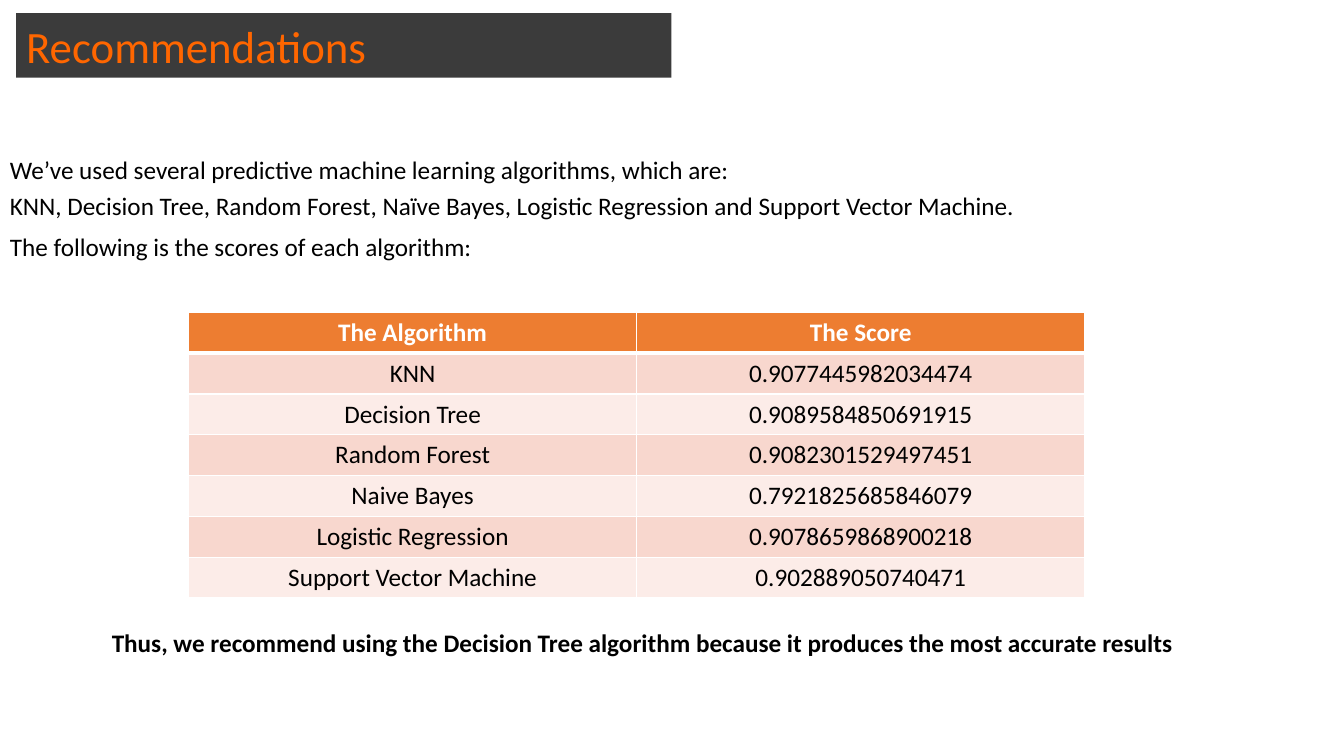
"""Build the recommendations slide with the scores of each algorithm."""
from dataclasses import dataclass

from lxml import etree
from pptx import Presentation
from pptx.dml.color import RGBColor
from pptx.enum.text import MSO_ANCHOR, MSO_AUTO_SIZE, PP_ALIGN
from pptx.oxml.ns import qn
from pptx.util import Inches, Pt

LEFT, CENTER = PP_ALIGN.LEFT, PP_ALIGN.CENTER
TOP, MIDDLE = MSO_ANCHOR.TOP, MSO_ANCHOR.MIDDLE
NO_AUTOFIT = MSO_AUTO_SIZE.NONE
TITLE_ONLY = 5

HEADING = "Recommendations"
INTRO = [
    (19.73, "We’ve used several predictive machine learning algorithms, which are:"),
    (24.53, "KNN, Decision Tree, Random Forest, Naïve Bayes, Logistic Regression and Support Vector Machine."),
    (30, "The following is the scores of each algorithm:"),
]
SCORES = [
    ("The Algorithm", "The Score"),
    ("KNN", "0.9077445982034474"),
    ("Decision Tree", "0.9089584850691915"),
    ("Random Forest", "0.9082301529497451"),
    ("Naive Bayes", "0.7921825685846079"),
    ("Logistic Regression", "0.9078659868900218"),
    ("Support Vector Machine", "0.902889050740471"),
]
CONCLUSION = "Thus, we recommend using the Decision Tree algorithm because it produces the most accurate results"

HEADING_AREA = (1.2, 1.73, 48.76, 8.53)
SCORES_AREA = (14.03, 41.33, 66.69, 37.8)
CONCLUSION_AREA = (7.58, 82.27, 84.85, 5.38)
LINE_HEIGHT = 5.38


@dataclass(frozen=True)
class Theme:
    font: str = "Calibri"
    heading_size: int = 32
    body_size: int = 18
    heading: str = "FF6600"
    banner: str = "3B3B3B"
    text: str = "000000"
    white: str = "FFFFFF"
    header: str = "ED7D31"
    bands: tuple = ("F8D7CE", "FCECE8")
    grid_width: int = 1
    header_rule_width: int = 3


THEME = Theme()


def area(prs, left, top, width, height):
    """Turn percentages of the slide into lengths."""
    return (
        int(prs.slide_width * left / 100),
        int(prs.slide_height * top / 100),
        int(prs.slide_width * width / 100),
        int(prs.slide_height * height / 100),
    )


def write(frame, text, size=THEME.body_size, color=THEME.text, bold=False, align=LEFT, anchor=TOP):
    """Put one formatted paragraph in a text frame."""
    frame.word_wrap = True
    frame.vertical_anchor = anchor
    paragraph = frame.paragraphs[0]
    paragraph.alignment = align
    run = paragraph.add_run()
    run.text = text
    run.font.name = THEME.font
    run.font.size = Pt(size)
    run.font.bold = bold
    run.font.color.rgb = RGBColor.from_string(color)


def add_line(prs, slide, text, box, **style):
    """Add a text box holding one line."""
    write(slide.shapes.add_textbox(*area(prs, *box)).text_frame, text, **style)


def add_borders(cell, top, bottom):
    """Draw white borders around a cell."""
    properties = cell._tc.get_or_add_tcPr()
    widths = {"a:lnL": THEME.grid_width, "a:lnR": THEME.grid_width, "a:lnT": top, "a:lnB": bottom}
    for position, (side, width) in enumerate(widths.items()):
        border = etree.Element(qn(side), w=str(Pt(width)))
        fill = etree.SubElement(border, qn("a:solidFill"))
        etree.SubElement(fill, qn("a:srgbClr"), val=THEME.white)
        properties.insert(position, border)


def add_heading(prs, slide):
    """Place the heading on its dark banner."""
    heading = slide.shapes.title
    heading.left, heading.top, heading.width, heading.height = area(prs, *HEADING_AREA)
    heading.fill.solid()
    heading.fill.fore_color.rgb = RGBColor.from_string(THEME.banner)
    heading.text_frame.auto_size = NO_AUTOFIT
    write(heading.text_frame, HEADING, size=THEME.heading_size, color=THEME.heading, anchor=MIDDLE)


def add_scores(prs, slide):
    """Add the table of algorithms and scores."""
    box = area(prs, *SCORES_AREA)
    scores = slide.shapes.add_table(len(SCORES), len(SCORES[0]), *box).table
    for r, values in enumerate(SCORES):
        is_header = r == 0
        fill = THEME.header if is_header else THEME.bands[(r - 1) % 2]
        top = THEME.header_rule_width if r == 1 else THEME.grid_width
        bottom = THEME.header_rule_width if is_header else THEME.grid_width
        for c, value in enumerate(values):
            cell = scores.cell(r, c)
            cell.fill.solid()
            cell.fill.fore_color.rgb = RGBColor.from_string(fill)
            add_borders(cell, top, bottom)
            color = THEME.white if is_header else THEME.text
            write(cell.text_frame, value, color=color, bold=is_header, align=CENTER)


def main():
    prs = Presentation()
    prs.slide_width, prs.slide_height = Inches(13.33), Inches(7.5)
    slide = prs.slides.add_slide(prs.slide_layouts[TITLE_ONLY])
    add_heading(prs, slide)
    for top, sentence in INTRO:
        add_line(prs, slide, sentence, (0, top, 100, LINE_HEIGHT))
    add_scores(prs, slide)
    add_line(prs, slide, CONCLUSION, CONCLUSION_AREA, bold=True)
    prs.save("out.pptx")


if __name__ == "__main__":
    main()
